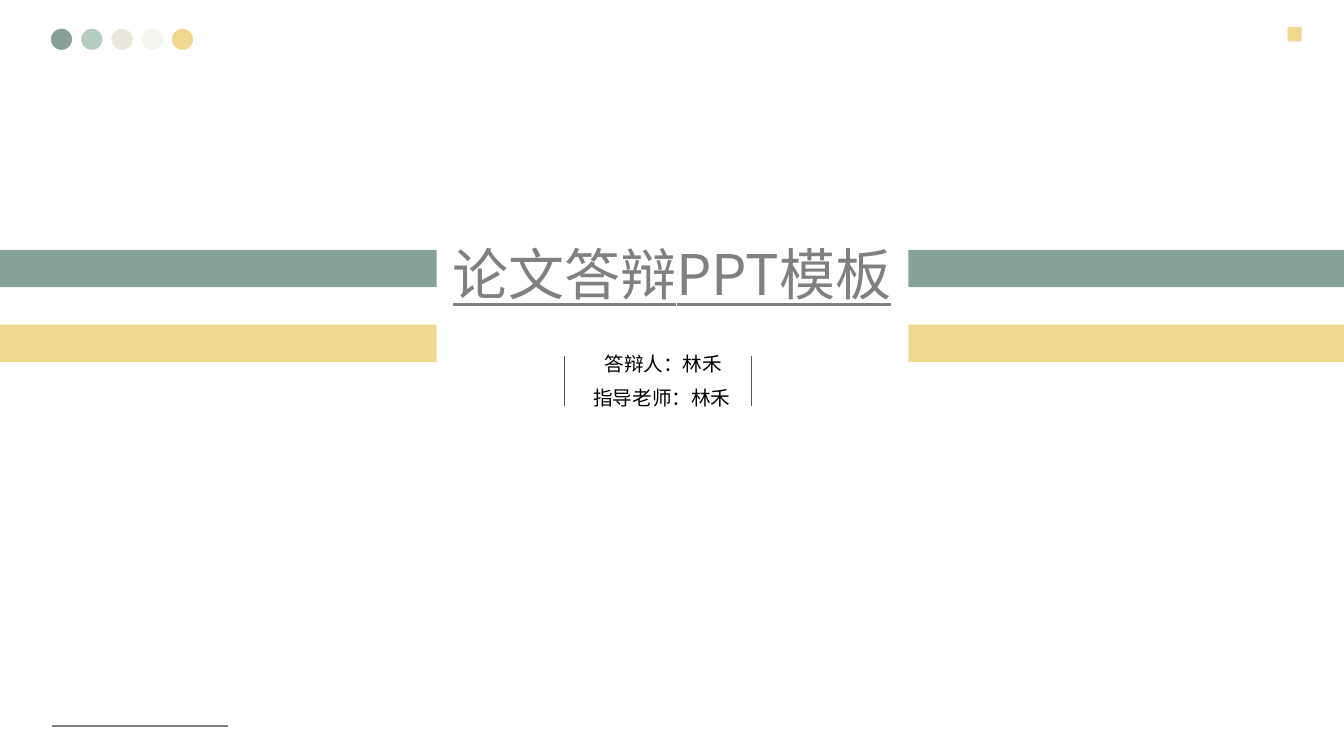
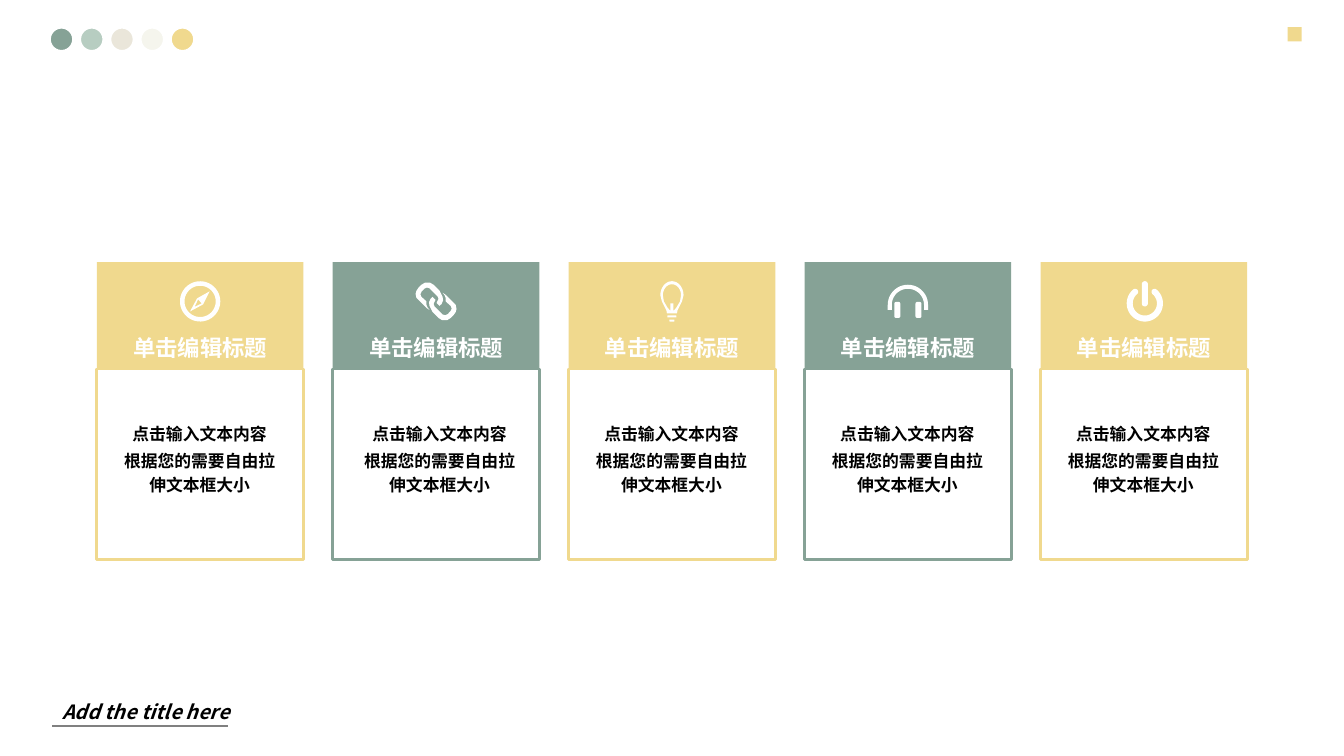
from dataclasses import dataclass
from math import cos, radians, sin

from lxml import etree
from pptx import Presentation
from pptx.dml.color import RGBColor
from pptx.enum.shapes import MSO_CONNECTOR, MSO_SHAPE
from pptx.enum.text import MSO_AUTO_SIZE, PP_ALIGN
from pptx.oxml.ns import qn
from pptx.util import Inches, Pt

RECT, OVAL = MSO_SHAPE.RECTANGLE, MSO_SHAPE.OVAL
STRAIGHT = MSO_CONNECTOR.STRAIGHT
LEFT, CENTER = PP_ALIGN.LEFT, PP_ALIGN.CENTER
GROW = MSO_AUTO_SIZE.SHAPE_TO_FIT_TEXT

Point = tuple[float, float]
Contour = list[Point]


@dataclass(frozen=True)
class Theme:
    font: str = "Noto Sans CJK SC"
    green: str = "86A296"
    mint: str = "B7CDC1"
    sand: str = "EAE6DA"
    ivory: str = "F5F5ED"
    yellow: str = "F0D98E"
    white: str = "FFFFFF"
    black: str = "000000"
    gray: str = "808080"
    dark_gray: str = "595959"
    title: int = 40
    heading: int = 16
    caption: int = 14
    body: int = 12


T = Theme()
SLIDE_W, SLIDE_H = 13.33, 7.5


@dataclass(frozen=True)
class Box:
    x: float
    y: float
    w: float
    h: float


@dataclass(frozen=True)
class Style:
    size: int
    color: str = T.black
    bold: bool = False
    italic: bool = False
    underline: bool = False
    align: PP_ALIGN = CENTER
    spacing: float = 1.0


@dataclass(frozen=True)
class Card:
    color: str
    icon: list[Contour]
    icon_shift: float = 0.0
    text_shift: float = 0.0


TITLE = Style(T.title, T.gray, underline=True)
CAPTION = Style(T.caption)
FOOTER = Style(T.caption, bold=True, italic=True, align=LEFT)
HEADING = Style(T.heading, T.white, bold=True, spacing=1.2)
BODY = Style(T.body, bold=True, spacing=1.2)


def rgb(color: str) -> RGBColor:
    return RGBColor.from_string(color)


def paint(sp, fill: str | None, line: str | None = None, width: float = 2) -> None:
    sp.shadow.inherit = False
    if fill:
        sp.fill.solid()
        sp.fill.fore_color.rgb = rgb(fill)
    else:
        sp.fill.background()
    if line:
        sp.line.color.rgb = rgb(line)
        sp.line.width = Pt(width)
    else:
        sp.line.fill.background()


def add_block(slide, kind, box: Box, fill: str | None, line: str | None = None) -> None:
    sp = slide.shapes.add_shape(kind, *map(Inches, (box.x, box.y, box.w, box.h)))
    paint(sp, fill, line)


def add_line(slide, start: Point, end: Point, color: str, width: float) -> None:
    sp = slide.shapes.add_connector(STRAIGHT, *map(Inches, start + end))
    sp.line.color.rgb = rgb(color)
    sp.line.width = Pt(width)
    etree.SubElement(sp._element.spPr, qn("a:effectLst"))


def add_text(slide, box: Box, style: Style, *lines: str) -> None:
    sp = slide.shapes.add_textbox(*map(Inches, (box.x, box.y, box.w, box.h)))
    tf = sp.text_frame
    tf.word_wrap = True
    tf.auto_size = GROW
    for i, line in enumerate(lines):
        p = tf.add_paragraph() if i else tf.paragraphs[0]
        p.text = line
        p.alignment = style.align
        p.line_spacing = style.spacing
        if i:
            p.space_before = Pt(0.2 * style.size)
        f = p.font
        f.size, f.name = Pt(style.size), T.font
        f.bold, f.italic, f.underline = style.bold, style.italic, style.underline
        f.color.rgb = rgb(style.color)
        ea = etree.Element(qn("a:ea"), typeface=T.font)
        f._element.find(qn("a:latin")).addnext(ea)


def add_icon(slide, cx: float, cy: float, contours: list[Contour]) -> None:
    """Draw contours, given in hundredths of an inch around a centre; nested ones are holes."""
    def place(point: Point) -> tuple[int, int]:
        return Inches(cx + point[0] / 100), Inches(cy + point[1] / 100)

    builder = None
    for first, *rest in contours:
        if builder is None:
            builder = slide.shapes.build_freeform(*place(first))
        else:
            builder.move_to(*place(first))
        builder.add_line_segments([place(point) for point in rest], close=True)
    paint(builder.convert_to_shape(), T.white)


def arc(cx: float, cy: float, rx: float, start: float, end: float,
        ry: float | None = None) -> Contour:
    """Points of an elliptical arc; degrees run clockwise from the right."""
    steps = max(6, round(abs(end - start) / 8))
    angles = [radians(start + (end - start) * i / steps) for i in range(steps + 1)]
    return [(cx + rx * cos(a), cy + (ry or rx) * sin(a)) for a in angles]


def rounded(x1: float, y1: float, x2: float, y2: float, r: float) -> Contour:
    corners = ((x2 - r, y2 - r), (x1 + r, y2 - r), (x1 + r, y1 + r), (x2 - r, y1 + r))
    return [pt for i, (x, y) in enumerate(corners)
            for pt in arc(x, y, r, 90 * i, 90 * i + 90)]


def mirrored(right: Contour) -> Contour:
    """Follow a right-hand edge down, then its mirror image back up."""
    return right + [(-x, y) for x, y in reversed(right)]


def compass() -> list[Contour]:
    return [arc(0, 0, 20, 0, 360), arc(0, 0, 15.5, 0, 360),
            [(9.5, -10), (3, 3), (-10, 10), (-3, -3)],
            [(-2, -2), (-5.5, 5.5), (1.5, 2)]]


def chain() -> list[Contour]:
    link = [(6.5, -8.5), (9.5, -6.5), (17.5, 1.5), (19.5, 3.5), (20.3, 7.5),
            (19.5, 10.5), (17.5, 13.5), (14.5, 16.5), (11, 18.6), (6, 18.6),
            (2.5, 16.5), (-3.5, 10.5), (-6.5, 4.5), (-7, 1), (-5.5, -2.5),
            (-3.5, -4.5), (-0.5, -1.5), (-1.5, 0.5), (-2.5, 2.5), (-1.5, 5),
            (3.5, 10), (6.5, 13), (9, 13.7), (11.5, 12.7), (14.5, 9.5),
            (15.5, 7), (14.5, 4.5), (9.5, 0), (9.5, -3.5), (8.5, -6)]
    return [link, [(-x, -y) for x, y in link]]


def bulb() -> list[Contour]:
    glass = arc(0, -6, 11.5, -90, 0, 14) + [(10, 0), (5.5, 9), (5, 12)]
    hollow = arc(0, -6, 9, -90, 0, 11) + [(8, 0), (4.5, 6), (2, 9), (1.5, 9), (1.5, 2)]
    return [mirrored(glass), mirrored(hollow),
            rounded(-4.5, 14, 4.5, 16, 0.5), rounded(-2.5, 18, 2.5, 20, 0.5)]


def headphones() -> list[Contour]:
    band = ([(-20, 8.5)] + arc(0, 3.5, 20, 180, 360) + [(20, 8.5), (16, 8.5)]
            + arc(0, 3.5, 16, 360, 180) + [(-16, 8.5)])
    return [band, rounded(-13.5, 0.5, -7.5, 16.5, 2), rounded(7.5, 0.5, 13.5, 16.5, 2)]


def power() -> list[Contour]:
    start, end, cy, mid, half = -50, 230, 2, 15, 3

    def cap(angle: float, turn: float) -> Contour:
        a = radians(angle)
        return arc(mid * cos(a), cy + mid * sin(a), half, turn, turn + 180)

    ring = (arc(0, cy, mid + half, start, end) + cap(end, end)
            + arc(0, cy, mid - half, end, start) + cap(start, start + 180))
    return [ring, rounded(-3, -20, 3, 5, 3)]


def new_slide(prs):
    """Add a blank slide with the palette dots, corner square and footer rule."""
    slide = prs.slides.add_slide(prs.slide_layouts[6])
    for i, color in enumerate((T.green, T.mint, T.sand, T.ivory, T.yellow)):
        add_block(slide, OVAL, Box(0.49 + 0.3 * i, 0.27, 0.24, 0.24), color, T.white)
    add_block(slide, RECT, Box(12.77, 0.27, 0.14, 0.14), T.yellow)
    add_line(slide, (0.52, 7.2), (2.26, 7.2), T.gray, 1.5)
    return slide


def cover(prs) -> None:
    slide = new_slide(prs)
    for row, color in enumerate((T.green, T.yellow)):
        add_block(slide, RECT, Box(0, 2.48 + 0.74 * row, SLIDE_W, 0.37), color)
    add_block(slide, RECT, Box(4.33, 2.33, 4.68, 1.26), T.white)
    add_text(slide, Box(3.6, 2.33, 6.13, 0.77), TITLE, "论文答辩PPT模板")
    add_text(slide, Box(5.51, 3.44, 2.14, 0.34), CAPTION, "答辩人：林禾")
    add_text(slide, Box(5.14, 3.78, 2.85, 0.34), CAPTION, "指导老师：林禾")
    for x in (5.6, 7.45):
        add_line(slide, (x, 3.53), (x, 4.03), T.dark_gray, 0.75)


def card_row(prs) -> None:
    slide = new_slide(prs)
    add_text(slide, Box(0.52, 6.89, 2.39, 0.34), FOOTER, "Add the title here")
    cards = (Card(T.yellow, compass()), Card(T.green, chain(), text_shift=0.04),
             Card(T.yellow, bulb()), Card(T.green, headphones()),
             Card(T.yellow, power(), icon_shift=0.01))
    width, pitch, top, split, bottom = 2.05, 2.34, 2.6, 3.66, 5.55
    for col, card in enumerate(cards):
        x = 0.96 + pitch * col
        add_block(slide, RECT, Box(x, top, width, split - top), card.color)
        add_block(slide, RECT, Box(x, split, width, bottom - split), None, card.color)
        add_icon(slide, x + width / 2 + card.icon_shift, 2.99, card.icon)
        add_text(slide, Box(x, 3.21, width, 0.4), HEADING, "单击编辑标题")
        add_text(slide, Box(x + 0.11 + card.text_shift, 4.11, 1.82, 0.85), BODY,
                 "点击输入文本内容", "根据您的需要自由拉伸文本框大小")


def main() -> None:
    prs = Presentation()
    prs.slide_width, prs.slide_height = Inches(SLIDE_W), Inches(SLIDE_H)
    cover(prs)
    card_row(prs)
    prs.save("out.pptx")


if __name__ == "__main__":
    main()
